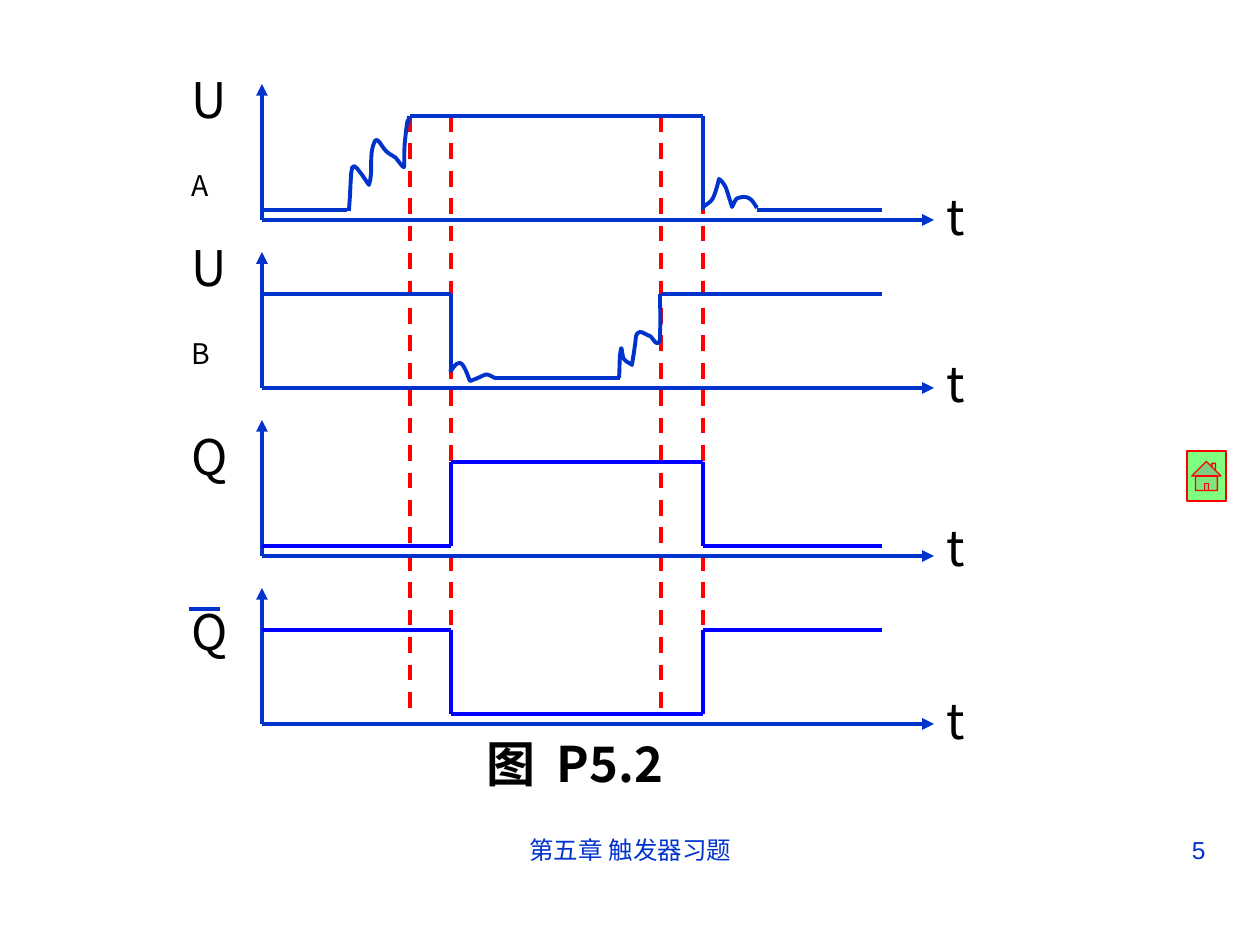
from itertools import pairwise

from lxml import etree
from pptx import Presentation
from pptx.dml.color import RGBColor
from pptx.enum.dml import MSO_LINE
from pptx.enum.shapes import MSO_CONNECTOR, MSO_SHAPE
from pptx.enum.text import PP_ALIGN
from pptx.oxml.ns import qn
from pptx.util import Emu, Pt

STRAIGHT, HOME = MSO_CONNECTOR.STRAIGHT, MSO_SHAPE.ACTION_BUTTON_HOME
DASH = MSO_LINE.DASH
LEFT, CENTER, RIGHT = PP_ALIGN.LEFT, PP_ALIGN.CENTER, PP_ALIGN.RIGHT

THEME = {
    "blue": RGBColor(0x00, 0x33, 0xCC), "signal": RGBColor(0x00, 0x00, 0xFF),
    "red": RGBColor(0xFF, 0x00, 0x00), "green": RGBColor(0x00, 0xFF, 0x00),
    "black": RGBColor(0x00, 0x00, 0x00),
    "font": "Noto Sans CJK SC", "footer_font": "Arial",
    "label": 28, "spacer": 32, "footer": 14, "line": 2.25, "thin": 0.75,
}

# Content, in px (126 to the inch)
X0, X_END, X_AXIS = 262, 882, 934
EDGES = T1, T2, T3, T4 = 410, 451, 661, 703
AXIS_Y, PITCH, AXIS_H = 220, 168, 136
DASH_TOP, DASH_BOTTOM = 116, 714

# Each row: name, subscript, label top, label height, top of "t"
ROWS = [
    ("U", "A", 63, 146, 173),
    ("U", "B", 231, 146, 340),
    ("Q", "", 413, 81, 504),
    ("Q", "", 588, 81, 677),
]

# Straight parts of the waveforms: colour and corner points
TRACES = [
    ("blue", [(X0, 210), (347, 210)]),
    ("blue", [(T1, 116), (T4, 116), (T4, 210)]),
    ("blue", [(757, 210), (X_END, 210)]),
    ("blue", [(X0, 294), (T2, 294), (T2, 368)]),
    ("blue", [(494, 378), (620, 378)]),
    ("blue", [(T3, 294), (X_END, 294)]),
    ("signal", [(X0, 546), (T1, 546), (T2, 546), (T2, 462), (T3, 462),
                (T4, 462), (T4, 546), (X_END, 546)]),
    ("signal", [(X0, 630), (T1, 630), (T2, 630), (T2, 714), (T3, 714),
                (T4, 714), (T4, 630), (X_END, 630)]),
]

# Contact bounce: start point, then two controls and an end for each curve
BOUNCES = [
    [(703, 207), (707, 204), (711, 202), (713, 198), (716, 192), (719, 179),
     (719, 179), (722, 181), (724, 184), (726, 188), (728, 194), (732, 207),
     (732, 207), (734, 204), (735, 199), (738, 198), (750, 194), (753, 202),
     (757, 208)],
    [(349, 211), (353, 163), (347, 152), (369, 185), (374, 171), (368, 155),
     (375, 141), (378, 137), (382, 147), (386, 151), (389, 154), (392, 155),
     (396, 158), (410, 176), (401, 168), (406, 132), (409, 105), (408, 136),
     (409, 116)],
    [(450, 372), (453, 369), (455, 363), (460, 363), (464, 363), (469, 379),
     (470, 381), (490, 374), (483, 372), (495, 378)],
    [(619, 378), (620, 368), (619, 358), (621, 349), (622, 345), (622, 357),
     (624, 359), (626, 362), (630, 363), (632, 365), (633, 358), (634, 353),
     (635, 345), (636, 341), (635, 335), (638, 333), (641, 330), (646, 335),
     (650, 336), (653, 338), (655, 344), (658, 343), (661, 341), (660, 336),
     (660, 333), (661, 320), (660, 307), (660, 294)],
]
STEPS = 8


def px(n):
    return Emu(round(n * 914400 / 126))


def add_line(a, b, color, arrow=False, dash=None):
    c = s.shapes.add_connector(STRAIGHT, *map(px, (*a, *b)))
    c.line.color.rgb, c.line.width = THEME[color], Pt(THEME["line"])
    if dash:
        c.line.dash_style = dash
    if arrow:
        etree.SubElement(c.line._get_or_add_ln(), qn("a:tailEnd"), type="triangle")
    etree.SubElement(c._element.spPr, qn("a:effectLst"))


def add_curve(points, color):
    ends = points[::3]
    fb = s.shapes.build_freeform(*map(px, points[0]), scale=1.0)
    path_points = []
    for i, (a, d) in enumerate(pairwise(ends)):
        b, c = points[3 * i + 1:3 * i + 3]
        for t in (k / STEPS for k in range(1, STEPS + 1)):
            u = 1 - t
            path_points.append([
                px(u**3 * a[j] + 3 * u * u * t * b[j] + 3 * u * t * t * c[j] + t**3 * d[j])
                for j in (0, 1)])
    fb.add_line_segments(path_points, close=False)
    sp = fb.convert_to_shape()
    sp.shadow.inherit = False
    sp.fill.background()
    sp.line.color.rgb, sp.line.width = THEME[color], Pt(THEME["line"])


def add_text(box, runs, size, color="black", font="font", align=LEFT, bold=False):
    """Add one paragraph; runs are (text, attributes of its run) pairs."""
    tf = s.shapes.add_textbox(*map(px, box)).text_frame
    tf.word_wrap = True
    p = tf.paragraphs[0]
    p.alignment = align
    f = p.font
    f.name, f.size, f.bold = THEME[font], Pt(THEME[size]), bold
    f.color.rgb = THEME[color]
    for text, attributes in runs:
        r = p.add_run()
        r.text = text
        for key, value in attributes.items():
            r.font._element.set(key, str(value))


prs = Presentation()
prs.slide_width, prs.slide_height = px(1260), px(945)
s = prs.slides.add_slide(prs.slide_layouts[6])

# Dashed time marks
for x in EDGES:
    add_line((x, DASH_TOP), (x, DASH_BOTTOM), "red", dash=DASH)

# Axes and their labels
spacer = (" ", {"sz": THEME["spacer"] * 100})
for i, (name, sub, top, height, t_top) in enumerate(ROWS):
    y = AXIS_Y + i * PITCH
    add_line((X0, y), (X0, y - AXIS_H), "blue", arrow=True)
    add_line((X0, y), (X_AXIS, y), "blue", arrow=True)
    subscript = [(sub, {"baseline": -25000})] if sub else []
    add_text((179, top, 73, height), [(name, {}), *subscript, spacer], "label")
    add_text((X_AXIS, t_top, 73, 81), [("t", {}), spacer], "label")
add_line((189, 609), (220, 609), "blue")  # bar over the last Q

# Waveforms
for color, points in TRACES:
    for a, b in pairwise(points):
        add_line(a, b, color)
for points in BOUNCES:
    add_curve(points, "blue")

# Caption, with a widened gap after the first character
add_text((474, 727, 219, 72), [("图", {}), (" ", {"spc": 600}), ("P5.2", {})],
         "label", bold=True)

# Home button
home = s.shapes.add_shape(HOME, *map(px, (1187, 451, 39, 50)))
home.shadow.inherit = False
home.fill.solid()
home.fill.fore_color.rgb = THEME["green"]
etree.SubElement(home._element.spPr.find(qn("a:solidFill"))[0], qn("a:alpha"), val="50000")
home.line.color.rgb, home.line.width = THEME["red"], Pt(THEME["thin"])

# Footer and page number
for box, text, align in [((431, 829, 399, 66), "第五章 触发器习题", CENTER),
                         ((903, 829, 315, 66), "5", RIGHT)]:
    add_text(box, [(text, {})], "footer", "blue", "footer_font", align)

prs.save("out.pptx")
